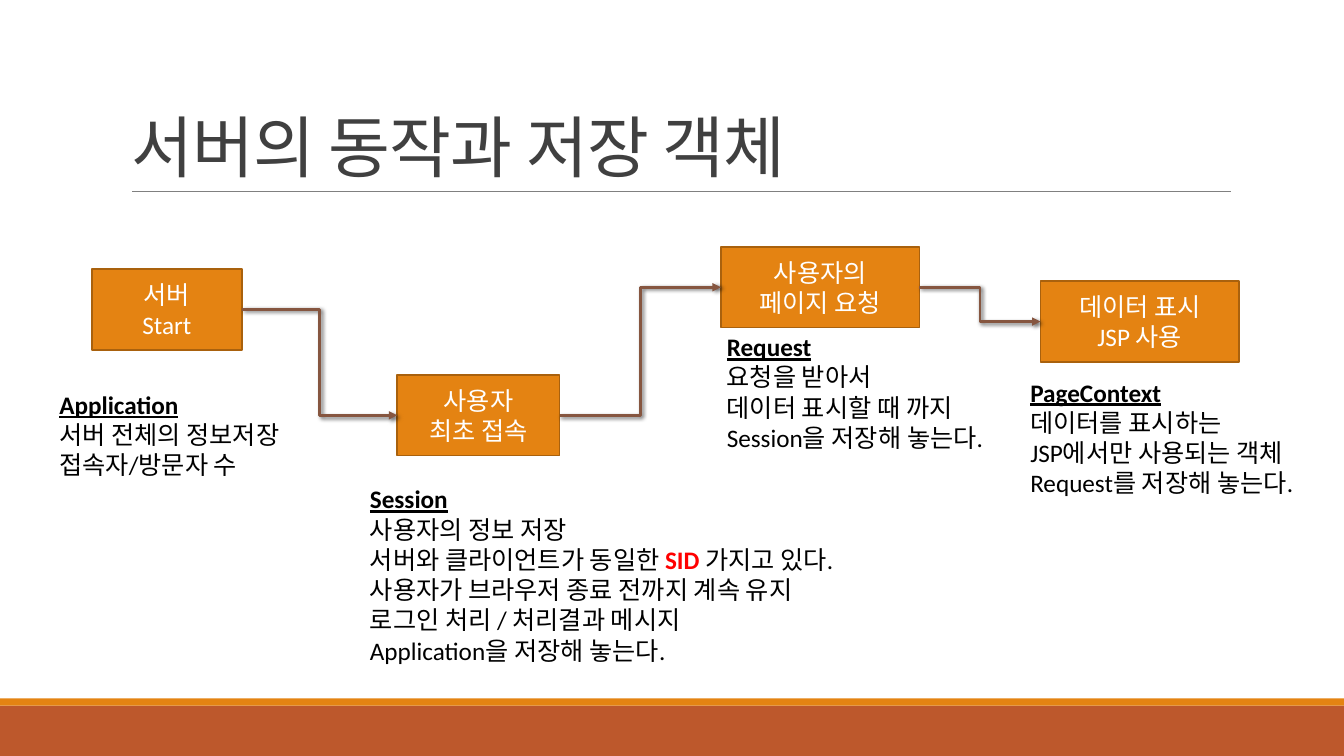
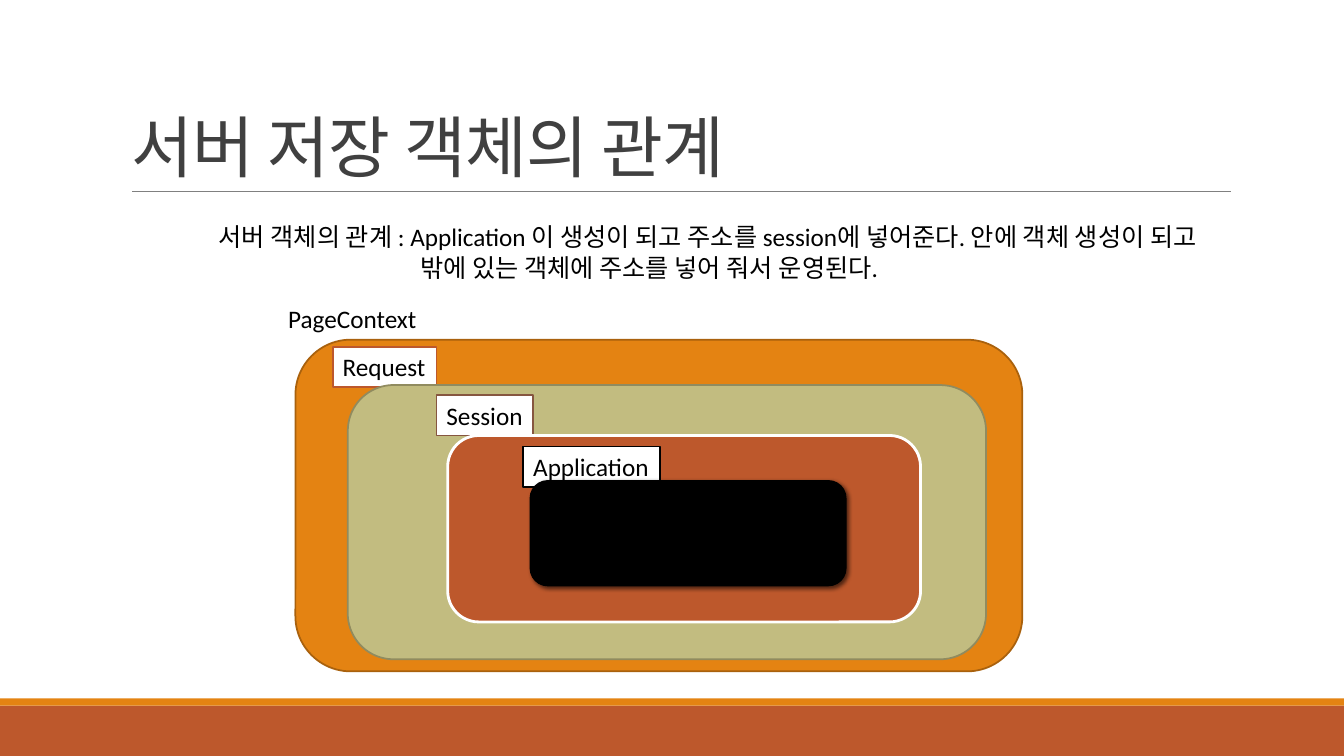
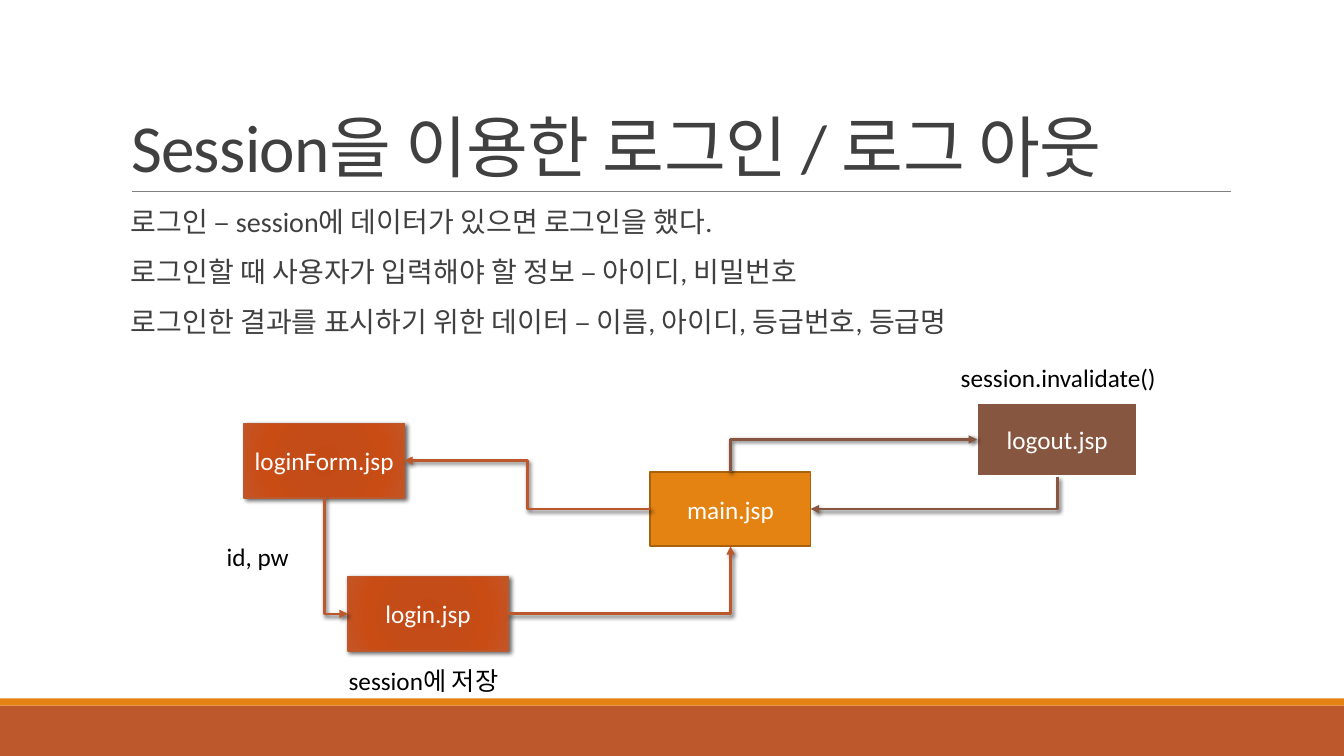
"""Build three slides on how a JSP server stores objects and handles login sessions."""
from lxml import etree
from pptx import Presentation
from pptx import util as u
from pptx.dml import color as dml
from pptx.enum import shapes as kinds, text as t
from pptx.oxml import ns

FONT = "Calibri"
ORANGE, ORANGE_EDGE, RUST, BROWN = "E48312", "A9610D", "BD582C", "865640"
OLIVE, OLIVE_EDGE = "C2BC80", "908B5F"
BLACK, WHITE, RED, INK, GREY = "000000", "FFFFFF", "FF0000", "404040", "808080"
GLOW = [(0, "C44A15"), (34, "C34C18"), (70, "C94C15"), (100, "C45525")]
RECT, ROUND = kinds.MSO_SHAPE.RECTANGLE, kinds.MSO_SHAPE.ROUNDED_RECTANGLE
TOP, LEFT, BOTTOM, RIGHT = range(4)
HEAD = {"bold": True, "underline": True}

STEPS = [
    {"box": (0.91, 2.67, 1.49, 0.8), "label": ["서버", "Start"], "note_at": (0.49, 3.81, 2.59),
     "note": ["Application", "서버 전체의 정보저장", "접속자/방문자 수"]},
    {"box": (3.94, 3.72, 1.61, 0.8), "label": ["사용자", "최초 접속"], "note_at": (3.57, 4.75, 5.18),
     "note": ["Session", "사용자의 정보 저장",
              [("서버와 클라이언트가 동일한 ", {}), ("SID ", {"bold": True, "color": RED}),
               ("가지고 있다.", {})],
              "사용자가 브라우저 종료 전까지 계속 유지", "로그인 처리 / 처리결과 메시지",
              "Application을 저장해 놓는다."]},
    {"box": (7.15, 2.45, 1.97, 0.8), "label": ["사용자의", "페이지 요청"], "note_at": (7.11, 3.24, 2.91),
     "note": ["Request", "요청을 받아서", "데이터 표시할 때 까지", "Session을 저장해 놓는다."]},
    {"box": (10.32, 2.79, 1.97, 0.8), "label": ["데이터 표시", "JSP 사용"], "note_at": (10.12, 3.69, 2.98),
     "note": ["PageContext", "데이터를 표시하는", "JSP에서만 사용되는 객체",
              "Request를 저장해 놓는다."]},
]

RELATION = ["서버 객체의 관계 : Application 이 생성이 되고 주소를 session에 넣어준다. 안에 객체 생성이 되고",
            "밖에 있는 객체에 주소를 넣어 줘서 운영된다."]
SCOPES = [
    {"name": "PageContext", "tag": (2.76, 2.96, 1.49, 0.4), "tag_style": {},
     "box": (2.93, 3.37, 7.21, 3.29), "style": {"fill": ORANGE, "line": ORANGE_EDGE}},
    {"name": "Request", "tag": (3.3, 3.44, 1.03, 0.4), "tag_style": {"fill": WHITE, "line": RUST},
     "box": (3.45, 3.82, 6.33, 2.72), "style": {"fill": OLIVE, "line": OLIVE_EDGE}},
    {"name": "Session", "tag": (4.33, 3.92, 0.96, 0.4), "tag_style": {"fill": WHITE, "line": BROWN},
     "box": (4.44, 4.32, 4.69, 1.85), "style": {"fill": RUST, "line": WHITE, "width": 2}},
    {"name": "Application", "tag": (5.19, 4.43, 1.36, 0.4), "tag_style": {"fill": WHITE, "line": BLACK},
     "box": (5.26, 4.77, 3.13, 1.04),
     "style": {"fill": BLACK, "line": BLACK, "width": 1, "shadow": True}},
]

LOGIN_NOTES = ["로그인 – session에 데이터가 있으면 로그인을 했다.",
               "로그인할 때 사용자가 입력해야 할 정보 – 아이디, 비밀번호",
               "로그인한 결과를 표시하기 위한 데이터 – 이름, 아이디, 등급번호, 등급명"]
GLOWING = {"fill": GLOW, "line": RUST, "width": 1, "shadow": True}
PAGES = {
    "main.jsp": (6.45, 4.68, {"fill": ORANGE, "line": ORANGE_EDGE}),
    "loginForm.jsp": (2.42, 4.2, GLOWING),
    "login.jsp": (3.45, 5.72, GLOWING),
    "logout.jsp": (9.69, 3.99, {"fill": BROWN, "line": WHITE, "width": 2}),
}
PAGE_W, PAGE_H = 1.59, 0.74
MOVES = [
    ("main.jsp", LEFT, "loginForm.jsp", RIGHT, RUST),
    ("loginForm.jsp", BOTTOM, "login.jsp", LEFT, RUST),
    ("login.jsp", RIGHT, "main.jsp", BOTTOM, RUST),
    ("main.jsp", TOP, "logout.jsp", LEFT, BROWN),
    ("logout.jsp", BOTTOM, "main.jsp", RIGHT, BROWN),
]
CAPTIONS = [("id, pw", (2.15, 5.32, 0.83, 0.4)), ("session에 저장", (3.36, 6.55, 1.76, 0.4)),
            ("session.invalidate()", (9.43, 3.55, 2.16, 0.4))]


def rgb(value):
    return dml.RGBColor.from_string(value)


def inches(values):
    return [u.Inches(v) for v in values]


def sub(parent, tag, **attrs):
    node = etree.SubElement(parent, ns.qn(tag))
    for key, value in attrs.items():
        node.set(key, str(value))
    return node


def write(frame, lines, size=18, color=BLACK, align=t.PP_ALIGN.LEFT, head=False,
          spacing=None, before=None, after=None, tracking=None):
    for i, line in enumerate(lines):
        para = frame.paragraphs[0] if i == 0 else frame.add_paragraph()
        para.alignment = align
        para.line_spacing, para.space_before, para.space_after = spacing, before, after
        base = HEAD if head and i == 0 else {}
        for words, extra in [(line, base)] if isinstance(line, str) else line:
            run = para.add_run()
            run.text = words
            run.font.name, run.font.size = FONT, u.Pt(size)
            run.font.color.rgb = rgb(extra.get("color", color))
            run.font.bold = extra.get("bold", False)
            run.font.underline = extra.get("underline", False)
            if tracking:
                run.font._element.set("spc", str(int(tracking * 100)))


def cast_shadow(effects):
    outer = sub(effects, "a:outerShdw", blurRad=u.Pt(3), dist=u.Pt(2), dir=45 * 60000,
                algn="tl", rotWithShape=0)
    sub(sub(outer, "a:srgbClr", val=BLACK), "a:alpha", val=60000)


def glow_fill(shape, stops):
    props = shape._element.spPr
    solid = props.find(ns.qn("a:solidFill"))
    grad = etree.Element(ns.qn("a:gradFill"), rotWithShape="1")
    stop_list = sub(grad, "a:gsLst")
    for place, value in stops:
        sub(sub(stop_list, "a:gs", pos=place * 1000), "a:srgbClr", val=value)
    circle = sub(grad, "a:path", path="circle")
    sub(circle, "a:fillToRect", l=100000, t=100000, r=100000, b=100000)
    props.replace(solid, grad)


def paint(shape, fill=None, line=None, width=1.25, shadow=False):
    if fill:
        shape.fill.solid()
        shape.fill.fore_color.rgb = rgb(WHITE if fill is GLOW else fill)
        if fill is GLOW:
            glow_fill(shape, fill)
    if line:
        shape.line.color.rgb, shape.line.width = rgb(line), u.Pt(width)
    else:
        shape.line.fill.background()
    shape.shadow.inherit = False
    if shadow:
        cast_shadow(shape._element.spPr.find(ns.qn("a:effectLst")))


def block(slide, at, kind=RECT, label=(), **style):
    shape = slide.shapes.add_shape(kind, *inches(at))
    paint(shape, **style)
    if label:
        shape.text_frame.vertical_anchor = t.MSO_ANCHOR.MIDDLE
        write(shape.text_frame, label, color=WHITE, align=t.PP_ALIGN.CENTER)
    return shape


def note(slide, at, lines, style=None, **fmt):
    box = slide.shapes.add_textbox(*inches(at))
    box.text_frame.word_wrap = False
    box.text_frame.auto_size = t.MSO_AUTO_SIZE.SHAPE_TO_FIT_TEXT
    write(box.text_frame, lines, **fmt)
    if style:
        paint(box, **style)
    return box


def site_point(shape, site):
    across = {LEFT: 0, RIGHT: shape.width}.get(site, shape.width // 2)
    down = {TOP: 0, BOTTOM: shape.height}.get(site, shape.height // 2)
    return shape.left + across, shape.top + down


def elbow(slide, source, out, target, into, color):
    x1, y1 = site_point(source, out)
    x2, y2 = site_point(target, into)
    link = slide.shapes.add_connector(kinds.MSO_CONNECTOR.ELBOW, x1, y1, x2, y2)
    link.begin_connect(source, out)
    link.end_connect(target, into)
    props = link._element.spPr
    if {out, into} != {LEFT, RIGHT}:
        props.find(ns.qn("a:prstGeom")).set("prst", "bentConnector2")
    if out in (TOP, BOTTOM):
        run, rise = abs(y2 - y1), abs(x2 - x1)
        link.left, link.top = (x1 + x2 - run) // 2, (y1 + y2 - rise) // 2
        link.width, link.height = run, rise
        frame = props.find(ns.qn("a:xfrm"))
        frame.set("rot", str(90 * 60000))
        frame.set("flipH", str(int(y2 < y1)))
        frame.set("flipV", str(int(x2 > x1)))
    link.line.color.rgb, link.line.width = rgb(color), u.Pt(2)
    sub(props.find(ns.qn("a:ln")), "a:tailEnd", type="triangle")
    cast_shadow(sub(props, "a:effectLst"))


def furnish(layout, slide):
    for spare in list(layout.placeholders)[1:]:
        spare._element.getparent().remove(spare._element)
    rule = slide.shapes.add_connector(kinds.MSO_CONNECTOR.STRAIGHT, *inches((1.31, 1.9, 12.21, 1.9)))
    rule.line.color.rgb, rule.line.width = rgb(GREY), u.Pt(0.5)
    sub(rule._element.spPr, "a:effectLst")
    bands = [block(slide, (0, 7, 13.33, 0.5), fill=RUST),
             block(slide, (0, 6.93, 13.33, 0.07), fill=ORANGE)]
    for part in [*bands, rule]:
        layout.shapes._spTree.append(part._element)


def titled_slide(prs, heading):
    layout = prs.slide_layouts[5]
    slide = prs.slides.add_slide(layout)
    if len(prs.slides) == 1:
        furnish(layout, slide)
    title = slide.shapes.title
    title.left, title.top, title.width, title.height = inches((1.2, 0.31, 11, 1.59))
    title.text_frame.vertical_anchor = t.MSO_ANCHOR.BOTTOM
    title.text_frame.auto_size = t.MSO_AUTO_SIZE.NONE
    write(title.text_frame, [heading], size=48, color=INK, spacing=0.85, tracking=-0.5)
    return slide


def server_flow(prs):
    slide = titled_slide(prs, "서버의 동작과 저장 객체")
    boxes = []
    for step in STEPS:
        boxes.append(block(slide, step["box"], label=step["label"], fill=ORANGE, line=ORANGE_EDGE))
        height = 0.1 + 0.3 * len(step["note"])
        note(slide, (*step["note_at"], height), step["note"], head=True)
    for source, target in zip(boxes, boxes[1:]):
        elbow(slide, source, RIGHT, target, LEFT, BROWN)


def scope_nesting(prs):
    slide = titled_slide(prs, "서버 저장 객체의 관계")
    for scope in SCOPES:
        note(slide, scope["tag"], [scope["name"]], style=scope["tag_style"])
        block(slide, scope["box"], ROUND, **scope["style"])
    relation = note(slide, (2.07, 2.15, 10.68, 0.71), RELATION)
    relation.text_frame.paragraphs[1]._p.get_or_add_pPr().set("marL", str(u.Inches(2)))


def login_flow(prs):
    slide = titled_slide(prs, "Session을 이용한 로그인 / 로그 아웃")
    intro = slide.shapes.add_textbox(*inches((1.2, 2.02, 11, 1.77)))
    intro.text_frame.word_wrap = True
    write(intro.text_frame, LOGIN_NOTES, size=20, color=INK, spacing=0.9,
          before=u.Pt(12), after=u.Pt(2))
    pages = {name: block(slide, (x, y, PAGE_W, PAGE_H), label=[name], **style)
             for name, (x, y, style) in PAGES.items()}
    for source, out, target, into, color in MOVES:
        elbow(slide, pages[source], out, pages[target], into, color)
    for words, at in CAPTIONS:
        note(slide, at, [words])


def main():
    prs = Presentation()
    prs.slide_width, prs.slide_height = inches((13.33, 7.5))
    server_flow(prs)
    scope_nesting(prs)
    login_flow(prs)
    prs.save("out.pptx")


if __name__ == "__main__":
    main()
